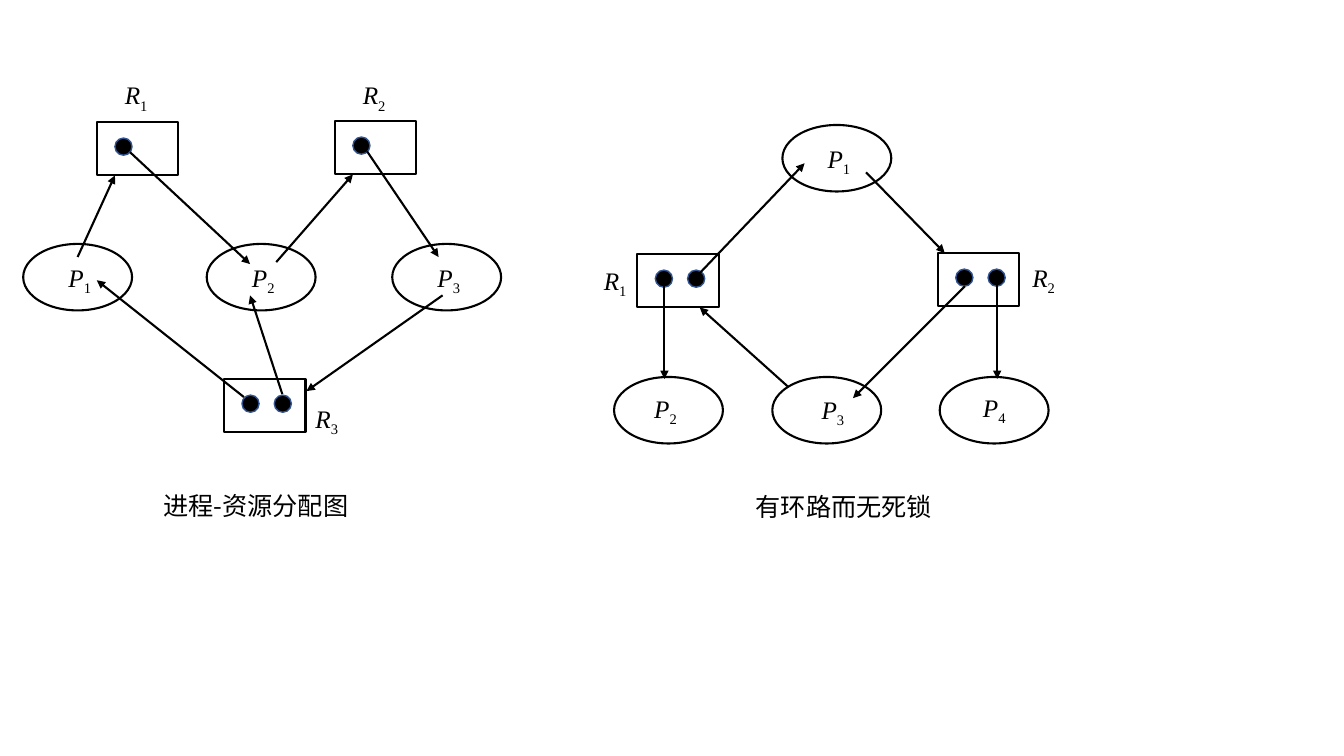
from lxml.etree import SubElement
from pptx import Presentation
from pptx.dml.color import RGBColor
from pptx.enum.shapes import MSO_CONNECTOR as Link, MSO_SHAPE as Shape
from pptx.enum.text import MSO_AUTO_SIZE as AutoSize, PP_ALIGN as Align
from pptx.oxml.ns import qn
from pptx.util import Emu, Pt

BLACK = RGBColor(0x00, 0x00, 0x00)
DOT_EDGE = RGBColor(0x32, 0x54, 0x91)
SYMBOL_FONT = "Times New Roman"
CAPTION_FONT = "Noto Sans CJK SC"
PX = 9144  # 100 px to the inch


def px(*lengths):
    return [Emu(length * PX) for length in lengths]


def add_run(paragraph, text, font=SYMBOL_FONT, size=18, italic=False, baseline=None):
    run = paragraph.add_run()
    run.text = text
    run.font.name = font
    run.font.size = Pt(size)
    run.font.italic = italic
    run.font.color.rgb = BLACK
    properties = run.font._element
    SubElement(properties, qn("a:ea")).set("typeface", font)
    if baseline is not None:
        properties.set("baseline", str(baseline * 1000))


class AllocationGraph:
    """Draws processes, resources and the edges between them on one slide."""

    process_size = (108, 66)
    resource_size = (81, 53)
    dot_size = (17, 17)
    dot_step = 32
    label_size = (63, 40)
    stroke = Pt(1.5)

    def __init__(self, slide):
        self.shapes = slide.shapes

    def outline(self, kind, x, y, size, edge=BLACK, width=stroke, fill=None):
        shape = self.shapes.add_shape(kind, *px(x, y, *size))
        shape.shadow.inherit = False
        shape.line.color.rgb = edge
        shape.line.width = width
        if fill is None:
            shape.fill.background()
        else:
            shape.fill.solid()
            shape.fill.fore_color.rgb = fill

    def text_box(self, x, y, size, align=Align.LEFT):
        """Adds an empty box and returns its paragraph."""
        frame = self.shapes.add_textbox(*px(x, y, *size)).text_frame
        frame.word_wrap = True
        frame.auto_size = AutoSize.SHAPE_TO_FIT_TEXT
        frame.paragraphs[0].alignment = align
        return frame.paragraphs[0]

    def label(self, letter, index, x, y):
        paragraph = self.text_box(x, y, self.label_size)
        add_run(paragraph, letter, italic=True)
        add_run(paragraph, str(index), baseline=-25)

    def process(self, index, x, y, label_offset=(35, 13)):
        self.outline(Shape.OVAL, x, y, self.process_size)
        self.label("P", index, x + label_offset[0], y + label_offset[1])

    def resource(self, index, x, y, instances, label_offset):
        self.outline(Shape.RECTANGLE, x, y, self.resource_size)
        for instance in range(instances):
            self.outline(Shape.OVAL, x + 18 + instance * self.dot_step, y + 16,
                         self.dot_size, edge=DOT_EDGE, width=Pt(1), fill=BLACK)
        self.label("R", index, x + label_offset[0], y + label_offset[1])

    def edge(self, start, end):
        arrow = self.shapes.add_connector(Link.STRAIGHT, *px(*start, *end))
        arrow.line.color.rgb = BLACK
        arrow.line.width = self.stroke
        SubElement(arrow.line._get_or_add_ln(), qn("a:tailEnd")).set("type", "triangle")
        SubElement(arrow._element.spPr, qn("a:effectLst"))

    def caption(self, text, x, y, width, align=Align.LEFT):
        add_run(self.text_box(x, y, (width, 40), align), text, font=CAPTION_FONT)


def draw_deadlock_graph(graph):
    for index, x in enumerate((23, 205, 389), start=1):
        graph.process(index, x, 242)
    graph.resource(1, 96, 121, instances=1, label_offset=(18, -47))
    graph.resource(2, 332, 120, instances=1, label_offset=(18, -46))
    graph.resource(3, 222, 376, instances=2, label_offset=(81, 19))
    edges = [
        ((77, 255), (114, 174)),
        ((129, 151), (248, 262)),
        ((274, 260), (350, 173)),
        ((364, 150), (435, 255)),
        ((242, 394), (96, 278)),
        ((280, 391), (248, 293)),
        ((439, 293), (304, 388)),
    ]
    for start, end in edges:
        graph.edge(start, end)
    graph.caption("进程-资源分配图", 152, 482, 221)


def draw_safe_cycle_graph(graph):
    graph.process(1, 776, 124)
    graph.process(2, 609, 374, label_offset=(30, 11))
    graph.process(3, 766, 374, label_offset=(39, 12))
    graph.process(4, 932, 374, label_offset=(33, 10))
    graph.resource(1, 632, 252, instances=2, label_offset=(-43, 6))
    graph.resource(2, 930, 251, instances=2, label_offset=(84, 4))
    edges = [
        ((694, 271), (798, 162)),
        ((859, 171), (937, 251)),
        ((957, 284), (846, 395)),
        ((782, 384), (694, 305)),
        ((659, 283), (659, 376)),
        ((989, 279), (989, 376)),
    ]
    for start, end in edges:
        graph.edge(start, end)
    graph.caption("有环路而无死锁", 701, 483, 272, align=Align.CENTER)


def main():
    deck = Presentation()
    deck.slide_width, deck.slide_height = px(1333, 750)
    graph = AllocationGraph(deck.slides.add_slide(deck.slide_layouts[6]))
    draw_deadlock_graph(graph)
    draw_safe_cycle_graph(graph)
    deck.save("out.pptx")


if __name__ == "__main__":
    main()
